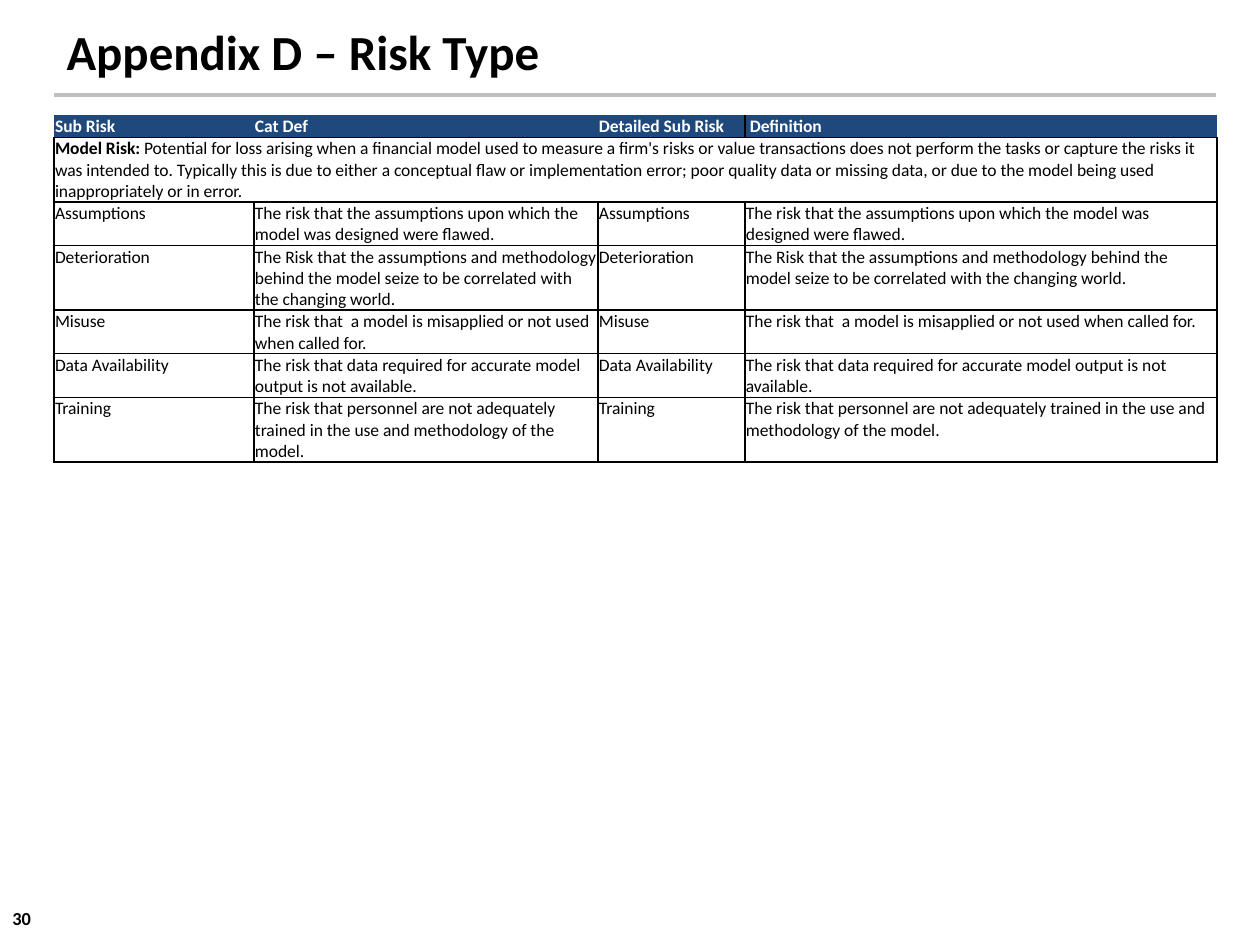
from lxml import etree
from pptx import Presentation
from pptx import util as u
from pptx.dml.color import RGBColor
from pptx.enum import shapes, text
from pptx.oxml import ns

BLACK = RGBColor(0x00, 0x00, 0x00)
WHITE = RGBColor(0xFF, 0xFF, 0xFF)
NAVY = RGBColor(0x1F, 0x49, 0x7D)
GRAY = RGBColor(0xBF, 0xBF, 0xBF)
FONT = "Calibri"
PX_PER_INCH = 126

HEADERS = ["Sub Risk", "Cat Def", "Detailed Sub Risk", " Definition"]
MODEL_RISK = (
    " Potential for loss arising when a financial model used to measure a firm's risks or value "
    "transactions does not perform the tasks or capture the risks it was intended to. Typically "
    "this is due to either a conceptual flaw or implementation error; poor quality data or missing "
    "data, or due to the model being used inappropriately or in error."
)
RISKS = [
    ("Assumptions", "The risk that the assumptions upon which the model was designed were flawed."),
    ("Deterioration", "The Risk that the assumptions and methodology behind the model seize to be "
                      "correlated with the changing world."),
    ("Misuse", "The risk that  a model is misapplied or not used when called for."),
    ("Data Availability", "The risk that data required for accurate model output is not available."),
    ("Training", "The risk that personnel are not adequately trained in the use and methodology "
                 "of the model."),
]
COLUMN_WIDTHS = [200, 344, 147, 472]
ROW_HEIGHTS = [22, 64, 43, 64, 43, 43, 64]


def px(length):
    return u.Emu(round(length * u.Inches(1) / PX_PER_INCH))


def set_borders(cell, visible):
    properties = cell._tc.get_or_add_tcPr()
    for position, side in enumerate("LRTB"):
        line = etree.Element(ns.qn(f"a:ln{side}"), w=str(u.Pt(1)))
        if side in visible:
            fill = etree.SubElement(line, ns.qn("a:solidFill"))
            etree.SubElement(fill, ns.qn("a:srgbClr"), val=str(BLACK))
        else:
            etree.SubElement(line, ns.qn("a:noFill"))
        properties.insert(position, line)


presentation = Presentation()
presentation.slide_width = u.Inches(10)
presentation.slide_height = u.Inches(7.5)
slide = presentation.slides.add_slide(presentation.slide_layouts[5])

title = slide.shapes.title
title.left, title.top, title.width, title.height = px(54), px(15), px(1163), px(72)
title.text_frame.text = "Appendix D – Risk Type"
title.text_frame.vertical_anchor = text.MSO_ANCHOR.TOP
paragraph = title.text_frame.paragraphs[0]
paragraph.alignment = text.PP_ALIGN.LEFT
paragraph.font.name = FONT
paragraph.font.size = u.Pt(28)
paragraph.font.bold = True
paragraph.font.color.rgb = BLACK

rule = slide.shapes.add_connector(shapes.MSO_CONNECTOR.STRAIGHT, px(54), px(95), px(1216), px(95))
rule.line.color.rgb = GRAY
rule.line.width = u.Pt(2.25)
etree.SubElement(rule._element.spPr, ns.qn("a:effectLst"))

frame = slide.shapes.add_table(
    len(ROW_HEIGHTS), len(COLUMN_WIDTHS),
    px(54), px(115), px(sum(COLUMN_WIDTHS)), px(sum(ROW_HEIGHTS)),
)
table = frame.table
table.first_row = False
table.horz_banding = False
for column, width in zip(table.columns, COLUMN_WIDTHS):
    column.width = px(width)
for row, height in zip(table.rows, ROW_HEIGHTS):
    row.height = px(height)

rows = [HEADERS, ["", "", "", ""]] + [[name, definition] * 2 for name, definition in RISKS]
header_borders = ["B", "B", "RB", "LB"]
for row_index, values in enumerate(rows):
    is_header = row_index == 0
    for column_index, value in enumerate(values):
        cell = table.cell(row_index, column_index)
        cell.margin_left = cell.margin_right = cell.margin_top = px(1)
        cell.margin_bottom = 0
        cell.fill.solid()
        cell.fill.fore_color.rgb = NAVY if is_header else WHITE
        set_borders(cell, header_borders[column_index] if is_header else "LRTB")
        cell.text = value
        paragraph = cell.text_frame.paragraphs[0]
        paragraph.font.name = FONT
        paragraph.font.size = u.Pt(10)
        paragraph.font.bold = is_header
        paragraph.font.color.rgb = WHITE if is_header else BLACK

summary = table.cell(1, 0)
summary.merge(table.cell(1, 3))
paragraph = summary.text_frame.paragraphs[0]
label = paragraph.add_run()
label.text = "Model Risk:"
label.font.bold = True
paragraph.add_run().text = MODEL_RISK

page_number = slide.shapes.add_textbox(0, px(892), px(53), px(53))
page_number.text_frame.word_wrap = True
page_number.text_frame.vertical_anchor = text.MSO_ANCHOR.MIDDLE
page_number.text_frame.text = "30"
paragraph = page_number.text_frame.paragraphs[0]
paragraph.font.name = FONT
paragraph.font.size = u.Pt(10.5)
paragraph.font.bold = True
paragraph.font.color.rgb = BLACK

presentation.save("out.pptx")
